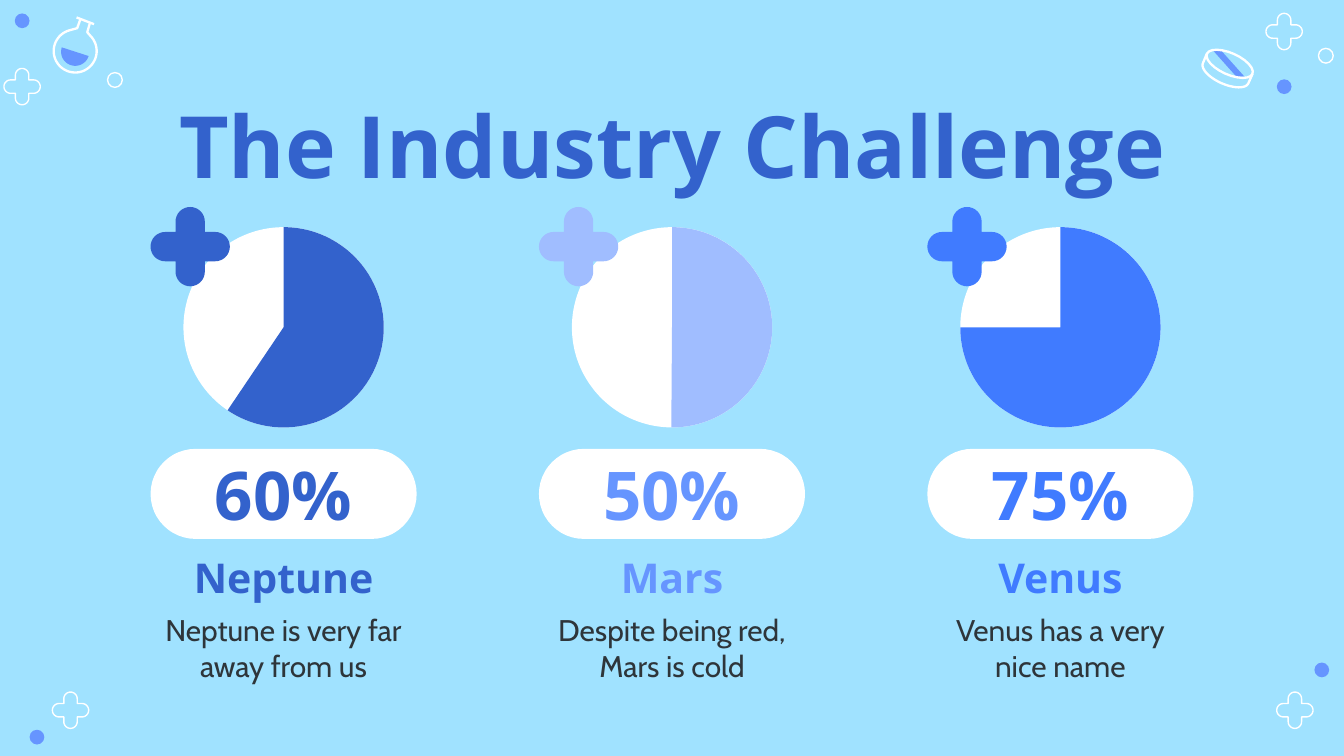
import math

import pptx
import pptx.dml.color
import pptx.enum.shapes
import pptx.enum.text
import pptx.util

Inches = pptx.util.Inches
RGBColor = pptx.dml.color.RGBColor
MSO_SHAPE = pptx.enum.shapes.MSO_SHAPE
ANCHOR = pptx.enum.text.MSO_ANCHOR

SKY = RGBColor(0xA0, 0xE2, 0xFF)
WHITE = RGBColor(0xFF, 0xFF, 0xFF)
NAVY = RGBColor(0x33, 0x62, 0xCC)
BLUE = RGBColor(0x40, 0x7B, 0xFF)
SOFT_BLUE = RGBColor(0x66, 0x95, 0xFF)
PALE_BLUE = RGBColor(0xA0, 0xBD, 0xFF)
INK = RGBColor(0x2E, 0x35, 0x3A)

TITLE = "The Industry Challenge"
# share, planet, description, text colour, pie colour, angle where the slice ends
PLANETS = [
    ("60%", "Neptune", "Neptune is very far away from us", NAVY, NAVY, 124),
    ("50%", "Mars", "Despite being red, Mars is cold", SOFT_BLUE, PALE_BLUE, 90.4),
    ("75%", "Venus", "Venus has a very nice name", BLUE, BLUE, 180),
]
DOTS = [(0.11, 0.1), (9.5, 0.59), (9.78, 4.93), (0.22, 5.43)]
RINGS = [(9.81, 0.36), (0.8, 0.54)]
SMALL_CROSSES = [(9.42, 0.1), (0.03, 0.51), (9.5, 5.15), (0.39, 5.15)]

DOT = 0.11
SMALL_CROSS = 0.27
BIG_CROSS = 0.59
FIRST_LEFT, COLUMN_STEP, COLUMN_WIDTH = 1.12, 2.89, 1.98
PIE = 1.49
PIE_TOP = 1.69

prs = pptx.Presentation()
prs.slide_width = Inches(10)
prs.slide_height = Inches(10 * 9 / 16)
s = prs.slides.add_slide(prs.slide_layouts[6])
s.background.fill.solid()
s.background.fill.fore_color.rgb = SKY


def paint(sp, fill=None, line=None, weight=0.75):
    sp.shadow.inherit = False
    if fill is None:
        sp.fill.background()
    else:
        sp.fill.solid()
        sp.fill.fore_color.rgb = fill
    if line is None:
        sp.line.fill.background()
    else:
        sp.line.color.rgb = line
        sp.line.width = pptx.util.Pt(weight)


def add_preset(kind, x, y, w, h, fill=None, line=None):
    sp = s.shapes.add_shape(kind, Inches(x), Inches(y), Inches(w), Inches(h))
    paint(sp, fill, line)
    return sp


def add_outline(points, fill=None, line=None, weight=0.75, close=True):
    points = [(Inches(x), Inches(y)) for x, y in points]
    builder = s.shapes.build_freeform(*points[0], scale=1.0)
    builder.add_line_segments(points[1:], close=close)
    paint(builder.convert_to_shape(), fill, line, weight)


def arc(cx, cy, rx, ry, start, end, tilt=0, steps=24):
    """Points on a tilted ellipse; angles in degrees, clockwise from the right."""
    t = math.radians(tilt)
    points = []
    for i in range(steps + 1):
        a = math.radians(start + (end - start) * i / steps)
        u, v = rx * math.cos(a), ry * math.sin(a)
        points.append((cx + u * math.cos(t) - v * math.sin(t),
                       cy + u * math.sin(t) + v * math.cos(t)))
    return points


def add_cross(x, y, size, fill=None, line=None):
    """Plus sign whose four arms end in half circles."""
    r = size * 0.185
    cx, cy, reach = x + size / 2, y + size / 2, size / 2 - r
    points = []
    for angle in (0, 90, 180, 270):
        a, corner = math.radians(angle), math.radians(angle + 45)
        points += arc(cx + reach * math.cos(a), cy + reach * math.sin(a),
                      r, r, angle - 90, angle + 90, steps=16)
        points.append((cx + r * math.sqrt(2) * math.cos(corner),
                       cy + r * math.sqrt(2) * math.sin(corner)))
    add_outline(points, fill, line)


def add_text(text, x, y, w, h, size, color, font="Open Sans", bold=True,
             anchor=ANCHOR.MIDDLE):
    tf = s.shapes.add_textbox(Inches(x), Inches(y), Inches(w), Inches(h)).text_frame
    tf.word_wrap = True
    tf.vertical_anchor = anchor
    tf.margin_left = tf.margin_right = tf.margin_top = tf.margin_bottom = Inches(0.1)
    p = tf.paragraphs[0]
    p.text = text
    p.alignment = pptx.enum.text.PP_ALIGN.CENTER
    r = p.runs[0]
    r.font.name, r.font.size, r.font.bold = font, pptx.util.Pt(size), bold
    r.font.color.rgb = color


def add_tablet():
    tilt = 24
    add_outline([(9.03, 0.38), (9.09, 0.38), (9.26, 0.57), (9.2, 0.57)], SOFT_BLUE)
    add_outline(arc(9.15, 0.475, 0.185, 0.08, 0, 360, tilt), line=WHITE, weight=1.25)
    rim = arc(9.12, 0.545, 0.185, 0.08, 0, 180, tilt)
    add_outline([(9.32, 0.55)] + rim + [(8.98, 0.4)],
                line=WHITE, weight=1.25, close=False)


def add_flask():
    tilt = 18
    add_outline(arc(0.56, 0.385, 0.105, 0.105, 0, 180, tilt), SOFT_BLUE)
    body = arc(0.56, 0.38, 0.16, 0.16, -57, 237, tilt, 48)
    add_outline([(0.67, 0.17), (0.65, 0.24)] + body + [(0.575, 0.21), (0.6, 0.14)],
                line=WHITE, weight=1.25, close=False)
    add_outline([(0.57, 0.13), (0.7, 0.18)], line=WHITE, weight=1.25, close=False)


add_tablet()
add_flask()
for x, y in DOTS:
    add_preset(MSO_SHAPE.OVAL, x, y, DOT, DOT, fill=SOFT_BLUE)
for x, y in RINGS:
    add_preset(MSO_SHAPE.OVAL, x, y, DOT, DOT, line=WHITE)
for x, y in SMALL_CROSSES:
    add_cross(x, y, SMALL_CROSS, line=WHITE)

add_text(TITLE, 0.78, 0.59, 8.44, 0.76, 46, NAVY, anchor=ANCHOR.TOP)

for i, (share, planet, description, text_color, pie_color, end) in enumerate(PLANETS):
    left = FIRST_LEFT + i * COLUMN_STEP
    pie_left = left + (COLUMN_WIDTH - PIE) / 2
    add_preset(MSO_SHAPE.OVAL, pie_left, PIE_TOP, PIE, PIE, WHITE)
    pie = add_preset(MSO_SHAPE.PIE, pie_left, PIE_TOP, PIE, PIE, pie_color)
    # an angle adjustment counts 0.6 per degree
    pie.adjustments[0], pie.adjustments[1] = 270 * 0.6, end * 0.6
    add_cross(left, 1.54, BIG_CROSS, pie_color)

    pill = add_preset(MSO_SHAPE.ROUNDED_RECTANGLE, left, 3.34, COLUMN_WIDTH, 0.67, WHITE)
    pill.adjustments[0] = 0.5
    add_text(share, left, 3.41, COLUMN_WIDTH, 0.52, 36, text_color)
    add_text(planet, left, 4.17, COLUMN_WIDTH, 0.41, 22, text_color, anchor=ANCHOR.BOTTOM)
    add_text(description, left, 4.45, COLUMN_WIDTH, 0.59, 16, INK,
             font="Cabin", bold=False, anchor=ANCHOR.TOP)

prs.save("out.pptx")
